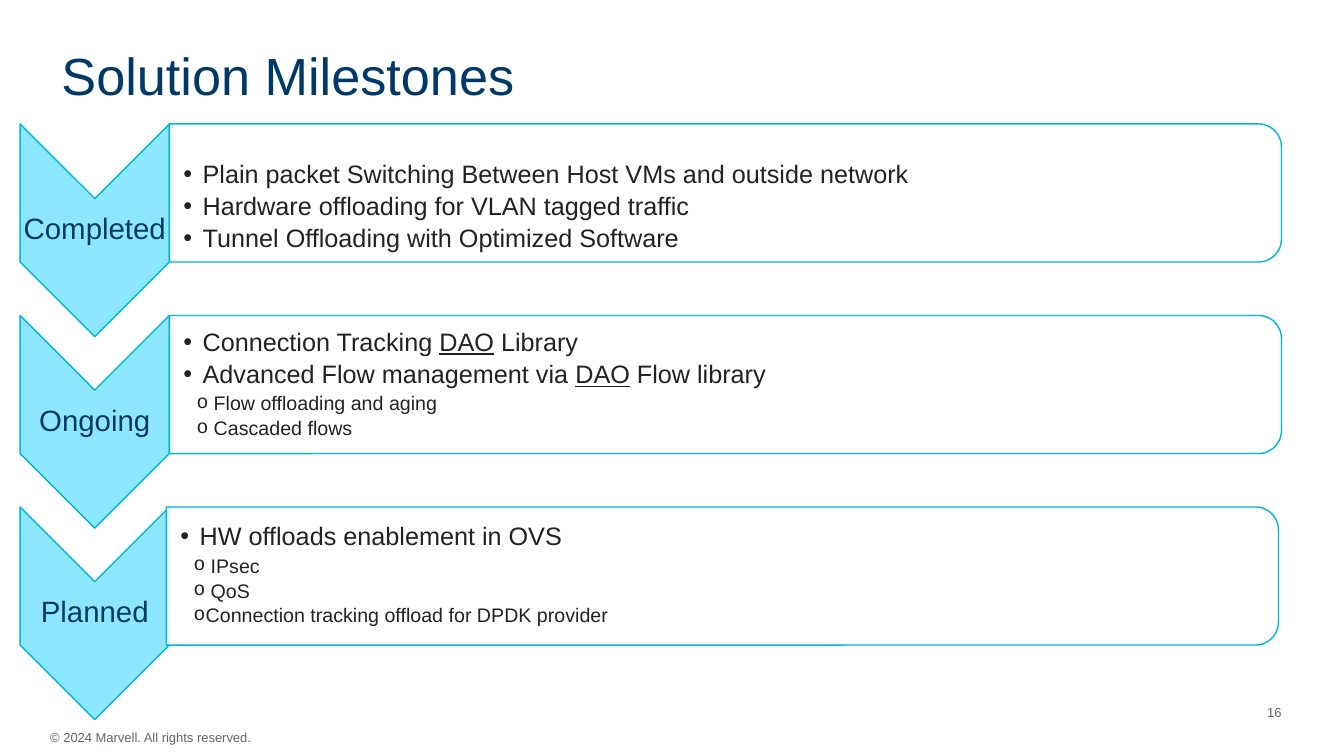
from dataclasses import dataclass

from lxml.etree import SubElement
from pptx import Presentation
from pptx.dml.color import RGBColor
from pptx.enum.shapes import MSO_SHAPE
from pptx.enum.text import MSO_ANCHOR, PP_ALIGN
from pptx.oxml.ns import qn
from pptx.util import Inches, Pt


@dataclass(frozen=True)
class Theme:
    font: str = "Arial"
    navy: RGBColor = RGBColor(0x00, 0x39, 0x67)
    ink: RGBColor = RGBColor(0x21, 0x23, 0x22)
    grey: RGBColor = RGBColor(0x63, 0x66, 0x6A)
    sky: RGBColor = RGBColor(0x8D, 0xE8, 0xFF)
    cyan: RGBColor = RGBColor(0x00, 0xB5, 0xE2)
    white: RGBColor = RGBColor(0xFF, 0xFF, 0xFF)
    title_size: float = 37.3
    label_size: float = 21
    item_size: float = 18
    detail_size: float = 14
    footer_size: float = 9.3


@dataclass(frozen=True)
class Bullet:
    char: str
    font: str
    level: int
    size: float
    indent: float
    hang: float
    space_after: float


THEME = Theme()
ITEM = Bullet("•", THEME.font, 1, THEME.item_size, 0.19, 0.19, 3.5)
DETAIL = Bullet("o", "Courier New", 2, THEME.detail_size, 0.3, 0.17, 2.6)
TIGHT = Bullet("o", "Courier New", 2, THEME.detail_size, 0.25, 0.12, 2.6)

UNDERLINED = "DAO"
FIRST_TOP, ROW_PITCH = 1.23, 1.9
CHEVRON_LEFT, CHEVRON_WIDTH, CHEVRON_HEIGHT = 0.2, 1.48, 2.11
PANEL_WIDTH, PANEL_HEIGHT = 11.03, 1.37

# Stage name, panel left, gap above its text, bulleted lines
STAGES = [
    ("Completed", 1.68, 0.37, [
        (ITEM, "Plain packet Switching Between Host VMs and outside network"),
        (ITEM, "Hardware offloading for VLAN tagged traffic"),
        (ITEM, "Tunnel Offloading with Optimized Software"),
    ]),
    ("Ongoing", 1.68, 0.14, [
        (ITEM, "Connection Tracking DAO Library"),
        (ITEM, "Advanced Flow management via DAO Flow library"),
        (DETAIL, "Flow offloading and aging"),
        (DETAIL, "Cascaded flows"),
    ]),
    ("Planned", 1.65, 0.17, [
        (ITEM, "HW offloads enablement in OVS"),
        (DETAIL, "IPsec"),
        (DETAIL, "QoS"),
        (TIGHT, "Connection tracking offload for DPDK provider"),
    ]),
]


def apply(target, values):
    for name, value in values.items():
        setattr(target, name, value)


def add_span(para, text, size, color, underline=None):
    span = para.add_run()
    span.text = text
    apply(span.font, {"name": THEME.font, "size": Pt(size), "underline": underline})
    span.font.color.rgb = color


def add_box(page, left, top, width, height, anchor, margins):
    """Add an empty text box; margins are left, top, right and bottom."""
    box = page.shapes.add_textbox(Inches(left), Inches(top), Inches(width), Inches(height))
    sides = ("margin_left", "margin_top", "margin_right", "margin_bottom")
    apply(box.text_frame, {"word_wrap": True, "vertical_anchor": anchor,
                           **{side: Inches(gap) for side, gap in zip(sides, margins)}})
    return box.text_frame


def add_line(page, text, place, size, color, align,
             anchor=MSO_ANCHOR.MIDDLE, margins=(0.1, 0.05, 0.1, 0.05)):
    para = add_box(page, *place, anchor, margins).paragraphs[0]
    apply(para, {"alignment": align, "line_spacing": 0.9})
    add_span(para, text, size, color)


def add_turned_shape(page, kind, left, top, width, height, fill):
    """Add a shape turned a quarter clockwise that covers the given area."""
    shift = (width - height) / 2
    shape = page.shapes.add_shape(kind, Inches(left + shift), Inches(top - shift),
                                  Inches(height), Inches(width))
    shape.rotation = 90
    shape.shadow.inherit = False
    shape.fill.solid()
    shape.fill.fore_color.rgb = fill
    shape.line.color.rgb = THEME.cyan
    shape.line.width = Pt(1)
    return shape


def set_opacity(shape, percent):
    color = shape.fill._xPr.find(qn("a:solidFill"))[0]
    SubElement(color, qn("a:alpha"), val=str(percent * 1000))


def add_bullet(para, bullet):
    properties = para._p.get_or_add_pPr()
    properties.set("marL", str(Inches(bullet.indent)))
    properties.set("indent", str(-Inches(bullet.hang)))
    SubElement(properties, qn("a:buFont"), typeface=bullet.font)
    SubElement(properties, qn("a:buChar"), char=bullet.char)
    apply(para, {"level": bullet.level, "line_spacing": 0.9,
                 "space_after": Pt(bullet.space_after)})


def add_bulleted_text(frame, lines):
    for index, (bullet, text) in enumerate(lines):
        para = frame.add_paragraph() if index else frame.paragraphs[0]
        add_bullet(para, bullet)
        before, term, after = text.partition(UNDERLINED)
        for part, underline in ((before, None), (term, True), (after, None)):
            if part:
                add_span(para, part, bullet.size, THEME.ink, underline)


def add_stage(page, top, name, panel_left, text_gap, lines):
    add_turned_shape(page, MSO_SHAPE.CHEVRON, CHEVRON_LEFT, top,
                     CHEVRON_WIDTH, CHEVRON_HEIGHT, THEME.sky)
    add_line(page, name, (CHEVRON_LEFT, top + 0.74, CHEVRON_WIDTH, 0.63),
             THEME.label_size, THEME.navy, PP_ALIGN.CENTER, margins=(0.01,) * 4)
    panel = add_turned_shape(page, MSO_SHAPE.ROUND_2_SAME_RECTANGLE, panel_left, top,
                             PANEL_WIDTH, PANEL_HEIGHT, THEME.white)
    set_opacity(panel, 90)
    frame = add_box(page, panel_left, top, PANEL_WIDTH, PANEL_HEIGHT,
                    MSO_ANCHOR.TOP, (0.14, text_gap, 0.01, 0.01))
    add_bulleted_text(frame, lines)


def set_title(page, text):
    title = page.shapes.title
    apply(title, {"left": Inches(0.51), "top": Inches(0.4),
                  "width": Inches(12.33), "height": Inches(0.76)})
    title.text_frame.vertical_anchor = MSO_ANCHOR.MIDDLE
    para = title.text_frame.paragraphs[0]
    apply(para, {"alignment": PP_ALIGN.LEFT, "line_spacing": 0.9})
    add_span(para, text, THEME.title_size, THEME.navy)


def main():
    deck = Presentation()
    apply(deck, {"slide_width": Inches(13.33), "slide_height": Inches(7.5)})
    page = deck.slides.add_slide(deck.slide_layouts[5])
    set_title(page, "Solution Milestones")
    for row, stage in enumerate(STAGES):
        add_stage(page, FIRST_TOP + row * ROW_PITCH, *stage)
    add_line(page, "16", (12.28, 6.95, 0.53, 0.26),
             THEME.footer_size, THEME.grey, PP_ALIGN.RIGHT)
    add_line(page, "© 2024 Marvell. All rights reserved.", (0.4, 7.21, 6.67, 0.26),
             THEME.footer_size, THEME.grey, PP_ALIGN.LEFT, MSO_ANCHOR.TOP)
    deck.save("out.pptx")


if __name__ == "__main__":
    main()
